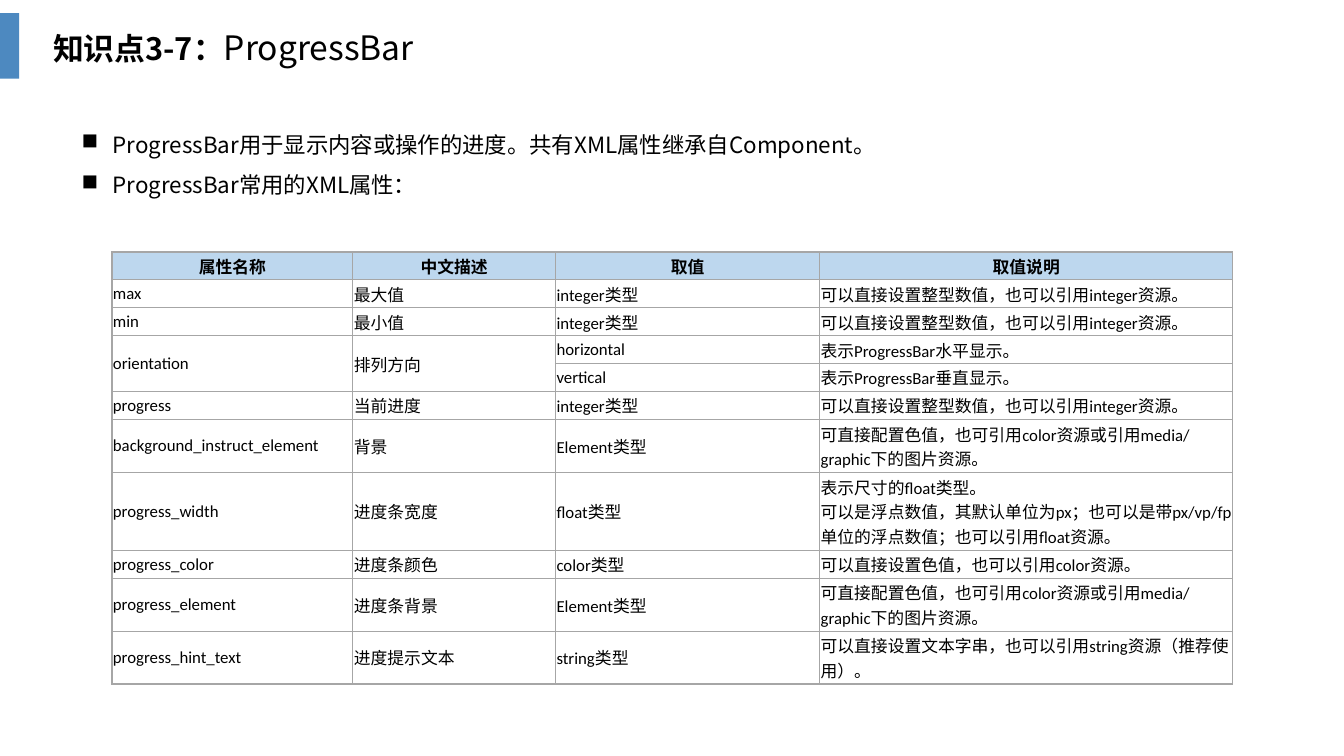
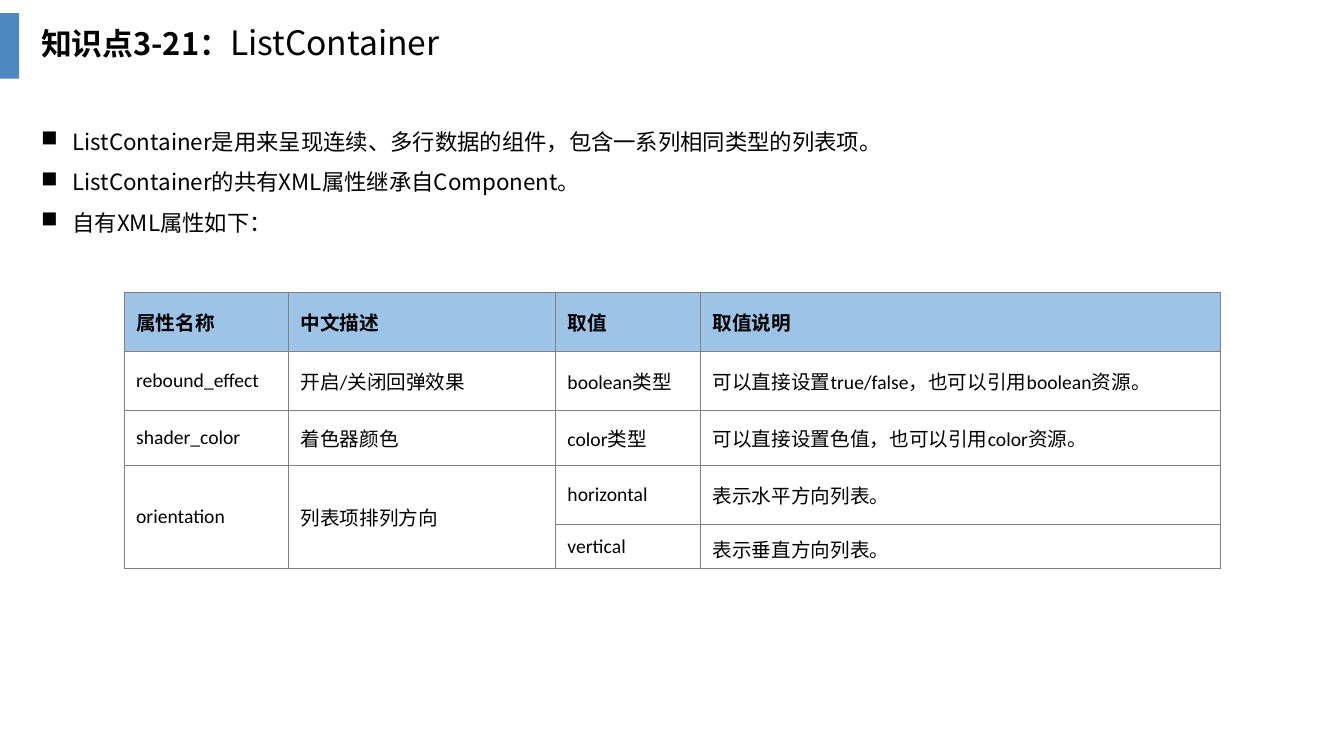
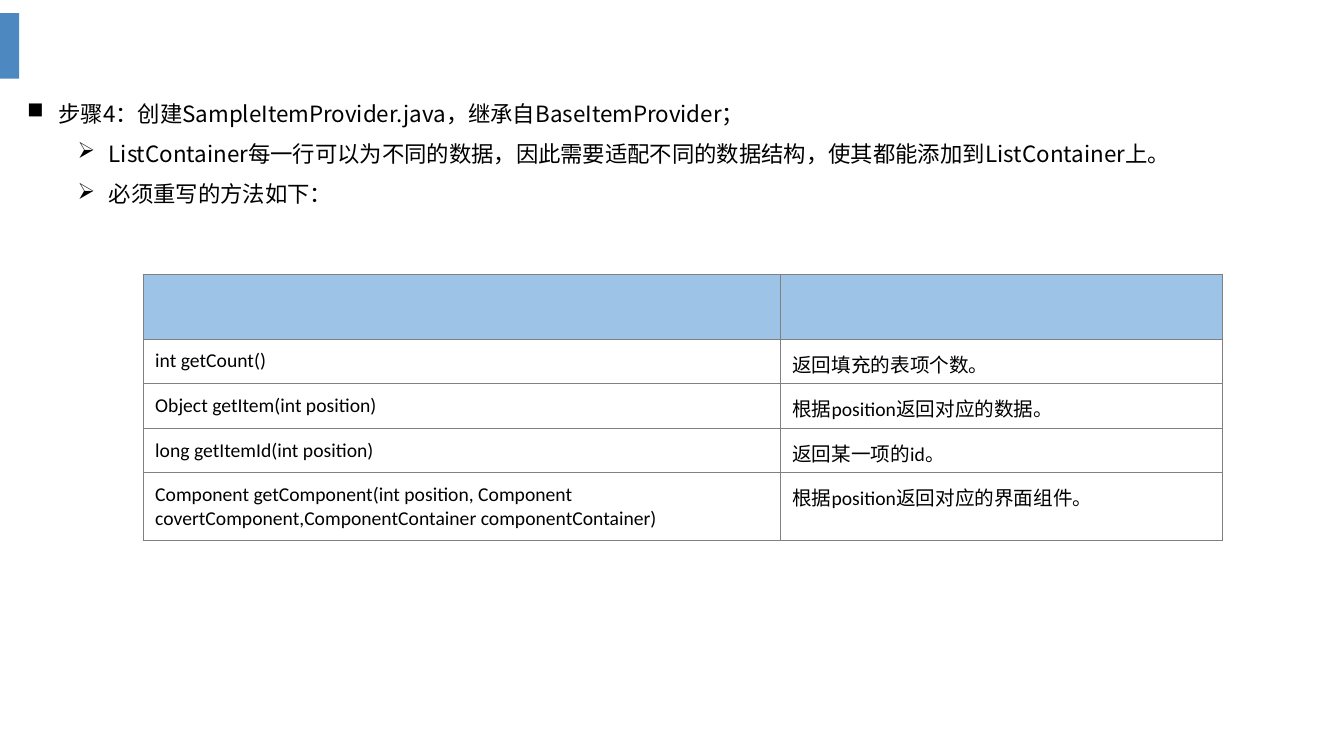
"""Build three slides on list and progress components."""
from dataclasses import dataclass
from typing import Optional

from lxml import etree
from pptx import Presentation
from pptx.dml.color import RGBColor
from pptx.enum.shapes import MSO_SHAPE
from pptx.enum.text import MSO_ANCHOR, MSO_AUTO_SIZE, PP_ALIGN
from pptx.oxml.ns import qn
from pptx.util import Inches, Pt

RECT = MSO_SHAPE.RECTANGLE
TOP, MIDDLE = MSO_ANCHOR.TOP, MSO_ANCHOR.MIDDLE
LEFT, CENTER = PP_ALIGN.LEFT, PP_ALIGN.CENTER
GROW = MSO_AUTO_SIZE.SHAPE_TO_FIT_TEXT

BLACK = RGBColor(0x00, 0x00, 0x00)
WHITE = RGBColor(0xFF, 0xFF, 0xFF)
BAND = RGBColor(0x2E, 0x75, 0xB6)
PALE = RGBColor(0xBD, 0xD7, 0xEE)
SKY = RGBColor(0x9D, 0xC3, 0xE6)
SILVER = RGBColor(0xA6, 0xA6, 0xA6)
GRAY = RGBColor(0x80, 0x80, 0x80)

SANS, LATIN = "Noto Sans CJK SC", "Calibri"
WIDTH, HEIGHT = Inches(13.33), Inches(7.5)
HANG = Inches(0.31)
INDENT = Inches(0.5)
MARKS = ("■", "➢")
HEADS = ("属性名称", "中文描述", "取值", "取值说明")
NUMBER = ("integer类型", "可以直接设置整型数值，也可以引用integer资源。")
ELEMENT = ("Element类型", "可直接配置色值，也可引用color资源或引用media/graphic下的图片资源。")
COLOR = ("color类型", "可以直接设置色值，也可以引用color资源。")


@dataclass(frozen=True)
class Look:
    """Style of a table."""
    head: RGBColor
    edge: RGBColor
    line: float
    size: int
    side: float
    end: float
    align: PP_ALIGN = LEFT
    anchor: MSO_ANCHOR = MIDDLE


@dataclass(frozen=True)
class Title:
    """Title text and its place in percent of the slide."""
    left: float
    top: float
    label: str
    name: str


@dataclass(frozen=True)
class Body:
    """Bullets as level and text, with the box in percent of the slide."""
    left: float
    top: float
    width: float
    height: float
    items: tuple


@dataclass(frozen=True)
class Grid:
    """Table in percent of the slide; None joins a cell to the one above."""
    left: float
    top: float
    cols: tuple
    rows: tuple
    cells: tuple
    look: Look


@dataclass(frozen=True)
class Page:
    """Content of one slide."""
    title: Optional[Title]
    body: Body
    grid: Grid


TIGHT = Look(PALE, SILVER, 1, 12, 0.01, 0.01, CENTER)
ROOMY = Look(SKY, GRAY, 0.75, 14, 0.12, 0.1)
UPPER = Look(SKY, GRAY, 0.75, 14, 0.12, 0.1, anchor=TOP)

PAGES = (
    Page(
        Title(3.22, 2.93, "知识点3-7：", "ProgressBar"),
        Body(5.33, 14.93, 89.4, 12.13, (
            (0, "ProgressBar用于显示内容或操作的进度。共有XML属性继承自Component。"),
            (0, "ProgressBar常用的XML属性："),
        )),
        Grid(8.33, 33.33, (17.93, 15.08, 19.65, 30.75),
             (3.7,) * 6 + (7, 10.3, 3.7, 7, 7), (
            HEADS,
            ("max", "最大值", *NUMBER),
            ("min", "最小值", *NUMBER),
            ("orientation", "排列方向", "horizontal", "表示ProgressBar水平显示。"),
            (None, None, "vertical", "表示ProgressBar垂直显示。"),
            ("progress", "当前进度", *NUMBER),
            ("background_instruct_element", "背景", *ELEMENT),
            ("progress_width", "进度条宽度", "float类型",
             "表示尺寸的float类型。\n可以是浮点数值，其默认单位为px；也可以是带px/vp/fp单位的浮点数值；也可以引用float资源。"),
            ("progress_color", "进度条颜色", *COLOR),
            ("progress_element", "进度条背景", *ELEMENT),
            ("progress_hint_text", "进度提示文本", "string类型",
             "可以直接设置文本字串，也可以引用string资源（推荐使用）。"),
        ), TIGHT),
    ),
    Page(
        Title(2.33, 2.27, "知识点3-21：", "ListContainer"),
        Body(2.33, 14.53, 89.4, 16.93, (
            (0, "ListContainer是用来呈现连续、多行数据的组件，包含一系列相同类型的列表项。"),
            (0, "ListContainer的共有XML属性继承自Component。"),
            (0, "自有XML属性如下："),
        )),
        Grid(9.23, 38.67, (12.23, 19.87, 10.8, 38.7), (7.8, 7.8, 7.3, 7.8, 5.9), (
            HEADS,
            ("rebound_effect", "开启/关闭回弹效果", "boolean类型",
             "可以直接设置true/false，也可以引用boolean资源。"),
            ("shader_color", "着色器颜色", *COLOR),
            ("orientation", "列表项排列方向", "horizontal", "表示水平方向列表。"),
            (None, None, "vertical", "表示垂直方向列表。"),
        ), ROOMY),
    ),
    Page(
        None,
        Body(1.28, 10.8, 97.35, 22.93, (
            (0, "步骤4：创建SampleItemProvider.java，继承自BaseItemProvider；"),
            (1, "ListContainer每一行可以为不同的数据，因此需要适配不同的数据结构，使其都能添加到ListContainer上。"),
            (1, "必须重写的方法如下："),
        )),
        Grid(10.65, 36.27, (47.4, 32.92), (8.6, 5.9, 5.9, 5.9, 9), (
            ("", ""),
            ("int getCount()", "返回填充的表项个数。"),
            ("Object getItem(int position)", "根据position返回对应的数据。"),
            ("long getItemId(int position)", "返回某一项的id。"),
            ("Component getComponent(int position, Component covertComponent,ComponentContainer componentContainer)",
             "根据position返回对应的界面组件。"),
        ), UPPER),
    ),
)


def across(part: float) -> int:
    """Turn percent of the width into a length."""
    return round(WIDTH * part / 100)


def down(part: float) -> int:
    """Turn percent of the height into a length."""
    return round(HEIGHT * part / 100)


def style(run, size: float, face: str = SANS, bold: bool = False) -> None:
    """Set the font of a run for Latin and Chinese text."""
    font = run.font
    font.size, font.bold, font.name = Pt(size), bold, face
    font.color.rgb = BLACK
    etree.SubElement(run._r.get_or_add_rPr(), qn("a:ea"), typeface=SANS)


def add_band(slide) -> None:
    """Draw the clear blue band at the left edge."""
    band = slide.shapes.add_shape(RECT, 0, down(1.73), across(1.43), down(8.67))
    band.shadow.inherit = False
    band.line.fill.background()
    band.fill.solid()
    band.fill.fore_color.rgb = BAND
    tint = band._element.spPr.find(".//" + qn("a:srgbClr"))
    etree.SubElement(tint, qn("a:alpha"), val="85000")


def add_box(slide, left: float, top: float, width: float, height: float):
    """Add a wrapping text box and return its frame."""
    box = slide.shapes.add_textbox(across(left), down(top), across(width), down(height))
    frame = box.text_frame
    frame.word_wrap = True
    frame.auto_size = GROW
    return frame


def add_title(slide, title: Title) -> None:
    """Write the bold label and the plain name."""
    para = add_box(slide, title.left, title.top, 53.17, 6.67).paragraphs[0]
    for text, size, bold in ((title.label, 22, True), (title.name, 24, False)):
        run = para.add_run()
        run.text = text
        style(run, size, bold=bold)


def add_body(slide, body: Body) -> None:
    """Write the bullets."""
    frame = add_box(slide, body.left, body.top, body.width, body.height)
    frame.text = "\n".join(text for _, text in body.items)
    for para, (level, _) in zip(frame.paragraphs, body.items):
        para.level = level
        para.line_spacing = 1.5
        props = para._p.get_or_add_pPr()
        props.set("marL", str(HANG + level * INDENT))
        props.set("indent", str(-HANG))
        etree.SubElement(props, qn("a:buChar"), char=MARKS[level])
        style(para.runs[0], 16)


def add_edges(cell, look: Look) -> None:
    """Draw the four borders of a cell."""
    props = cell._tc.get_or_add_tcPr()
    for side in ("lnL", "lnR", "lnT", "lnB"):
        line = etree.SubElement(props, qn("a:" + side), w=str(Pt(look.line)))
        fill = etree.SubElement(line, qn("a:solidFill"))
        etree.SubElement(fill, qn("a:srgbClr"), val=str(look.edge))


def fill_cell(cell, text: str, look: Look, head: bool) -> None:
    """Write and format one cell."""
    add_edges(cell, look)
    cell.fill.solid()
    cell.fill.fore_color.rgb = look.head if head else WHITE
    cell.margin_left = cell.margin_right = Inches(look.side)
    cell.margin_top = cell.margin_bottom = Inches(look.end)
    cell.vertical_anchor = look.anchor
    cell.text_frame.text = text
    for para in cell.text_frame.paragraphs:
        para.alignment = look.align if head else LEFT
        for run in para.runs:
            style(run, look.size, LATIN, head)


def add_grid(slide, grid: Grid) -> None:
    """Draw the table."""
    frame = slide.shapes.add_table(
        len(grid.rows), len(grid.cols), across(grid.left), down(grid.top),
        across(sum(grid.cols)), down(sum(grid.rows)))
    table = frame.table
    table.horz_banding = False
    for col, width in zip(table.columns, grid.cols):
        col.width = across(width)
    for row, height in zip(table.rows, grid.rows):
        row.height = down(height)
    for r, texts in enumerate(grid.cells):
        for c, text in enumerate(texts):
            cell = table.cell(r, c)
            fill_cell(cell, text or "", grid.look, r == 0)
            if text is None:
                table.cell(r - 1, c).merge(cell)


def main() -> None:
    """Build and save the deck."""
    deck = Presentation()
    deck.slide_width, deck.slide_height = WIDTH, HEIGHT
    for page in PAGES:
        slide = deck.slides.add_slide(deck.slide_layouts[6])
        add_band(slide)
        if page.title:
            add_title(slide, page.title)
        add_body(slide, page.body)
        add_grid(slide, page.grid)
    deck.save("out.pptx")


if __name__ == "__main__":
    main()
